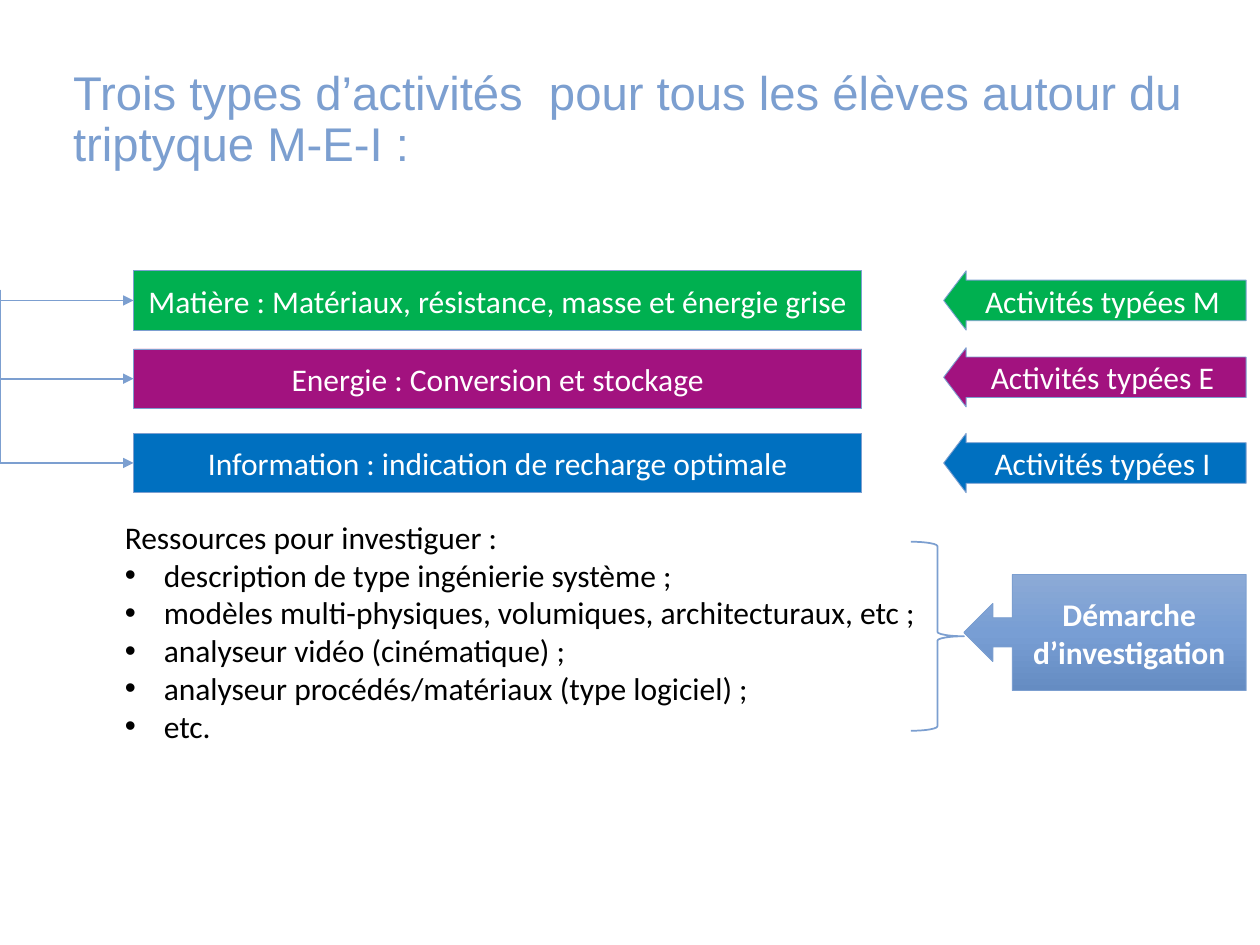
from copy import deepcopy

from lxml.etree import SubElement
from pptx import Presentation
from pptx.dml.color import RGBColor
from pptx.enum.shapes import MSO_CONNECTOR, MSO_SHAPE
from pptx.enum.text import MSO_ANCHOR, MSO_AUTO_SIZE, PP_ALIGN
from pptx.oxml.ns import qn
from pptx.util import Inches, Pt

TITLE = "Trois types d’activités  pour tous les élèves autour du triptyque M-E-I :"
THEMES = [
    ("Matière : Matériaux, résistance, masse et énergie grise", "Activités typées M", "00B050", 2.15, 2.15),
    ("Energie : Conversion et stockage", "Activités typées E", "A2127F", 2.77, 2.76),
    ("Information : indication de recharge optimale", "Activités typées I", "0070C0", 3.44, 3.44),
]
RESOURCES_HEADING = "Ressources pour investiguer :"
RESOURCES = [
    "description de type ingénierie système ;",
    "modèles multi-physiques, volumiques, architecturaux, etc ;",
    "analyseur vidéo (cinématique) ;",
    "analyseur procédés/matériaux (type logiciel) ;",
    "etc.",
]
APPROACH = ["Démarche", "d’investigation"]
APPROACH_GRADIENT = [(0, "8CAAD6"), (0.5, "789ED4"), (1, "658CC2")]
ACCENT = "7C9FD0"
BAR_LEFT, BAR_WIDTH, ROW_HEIGHT = 1.06, 5.78, 0.47
ARROW_LEFT, ARROW_WIDTH = 7.49, 2.4
TRUNK_TOP = 2.3
INDENT = 0.31


def rgb(value):
    return RGBColor.from_string(value)


def write(frame, lines, size=18, font="Calibri", color="FFFFFF", bold=False,
          align=PP_ALIGN.CENTER, anchor=MSO_ANCHOR.MIDDLE, spacing=None, bullets_from=None):
    frame.word_wrap = True
    frame.vertical_anchor = anchor
    for number, line in enumerate(lines):
        paragraph = frame.paragraphs[0] if number == 0 else frame.add_paragraph()
        paragraph.alignment = align
        paragraph.line_spacing = spacing
        paragraph.space_before = Pt(0)
        if bullets_from is not None:
            properties = paragraph._p.get_or_add_pPr()
            bulleted = number >= bullets_from
            indent = Inches(INDENT) if bulleted else 0
            properties.set("marL", str(indent))
            properties.set("indent", str(-indent))
            if bulleted:
                SubElement(properties, qn("a:buFont")).set("typeface", "Arial")
                SubElement(properties, qn("a:buChar")).set("char", "•")
            else:
                SubElement(properties, qn("a:buNone"))
        run = paragraph.add_run()
        run.text = line
        run.font.name = font
        run.font.size = Pt(size)
        run.font.bold = bold
        run.font.color.rgb = rgb(color)


def place(placeholder, *box):
    placeholder.left, placeholder.top, placeholder.width, placeholder.height = map(Inches, box)


def add_preset(shapes, preset, *box, fill=None, line_width=0.5, adjustments=()):
    shape = shapes.add_shape(preset, *map(Inches, box))
    shape.shadow.inherit = False
    shape.line.color.rgb = rgb(ACCENT)
    shape.line.width = Pt(line_width)
    if fill:
        shape.fill.solid()
        shape.fill.fore_color.rgb = rgb(fill)
    else:
        shape.fill.background()
    for index, value in enumerate(adjustments):
        shape.adjustments[index] = value
    return shape


def add_branch(shapes, target):
    drop = target - TRUNK_TOP
    left = (BAR_LEFT - drop) / 2
    top = (TRUNK_TOP + target - BAR_LEFT) / 2
    branch = shapes.add_connector(MSO_CONNECTOR.ELBOW, Inches(left + drop), Inches(top),
                                  Inches(left), Inches(top + BAR_LEFT))
    branch.line.color.rgb = rgb(ACCENT)
    branch.line.width = Pt(1)
    properties = branch._element.spPr
    properties.find(qn("a:xfrm")).set("rot", str(270 * 60000))
    properties.find(qn("a:prstGeom")).set("prst", "bentConnector2")
    SubElement(properties.find(qn("a:ln")), qn("a:tailEnd")).set("type", "triangle")
    SubElement(properties, qn("a:effectLst"))


def paint_gradient(fill, stops_element, colors):
    stops_element.insert(1, deepcopy(stops_element[0]))
    for stop, (position, color) in zip(fill.gradient_stops, colors):
        stop.position = position
        stop.color.rgb = rgb(color)


def main():
    presentation = Presentation()
    presentation.slide_width, presentation.slide_height = Inches(10), Inches(7.5)
    slide = presentation.slides.add_slide(presentation.slide_layouts[1])
    shapes = slide.shapes

    place(shapes.title, 0.48, 0.48, 9.03, 0.96)
    write(shapes.title.text_frame, [TITLE], size=27, font="Arial", color=ACCENT,
          align=PP_ALIGN.LEFT, spacing=0.9)

    resources = slide.placeholders[1]
    place(resources, 0.89, 4.06, 8.88, 1.92)
    write(resources.text_frame, [RESOURCES_HEADING, *RESOURCES], color="000000",
          align=PP_ALIGN.LEFT, anchor=MSO_ANCHOR.TOP, bullets_from=1)
    resources.text_frame.auto_size = MSO_AUTO_SIZE.SHAPE_TO_FIT_TEXT

    for theme, activity, color, bar_top, arrow_top in THEMES:
        bar = add_preset(shapes, MSO_SHAPE.RECTANGLE, BAR_LEFT, bar_top, BAR_WIDTH, ROW_HEIGHT, fill=color)
        write(bar.text_frame, [theme])
        add_branch(shapes, bar_top + ROW_HEIGHT / 2)
        arrow = add_preset(shapes, MSO_SHAPE.RIGHT_ARROW, ARROW_LEFT, arrow_top, ARROW_WIDTH, ROW_HEIGHT,
                           fill=color, adjustments=(0.685, 0.378))
        arrow._element.spPr.find(qn("a:xfrm")).set("flipH", "1")
        write(arrow.text_frame, [activity])

    investigation = shapes.add_group_shape().shapes
    callout = add_preset(investigation, MSO_SHAPE.LEFT_ARROW_CALLOUT, 7.65, 4.56, 2.24, 0.92,
                         adjustments=(0.25, 0.25, 0.25, 0.828))
    callout.fill.gradient()
    callout.fill.gradient_angle = 270
    paint_gradient(callout.fill, callout._element.spPr.find(".//" + qn("a:gsLst")), APPROACH_GRADIENT)
    write(callout.text_frame, APPROACH, bold=True)
    add_preset(investigation, MSO_SHAPE.RIGHT_BRACE, 7.23, 4.3, 0.42, 1.5, line_width=1)

    presentation.save("out.pptx")


if __name__ == "__main__":
    main()
